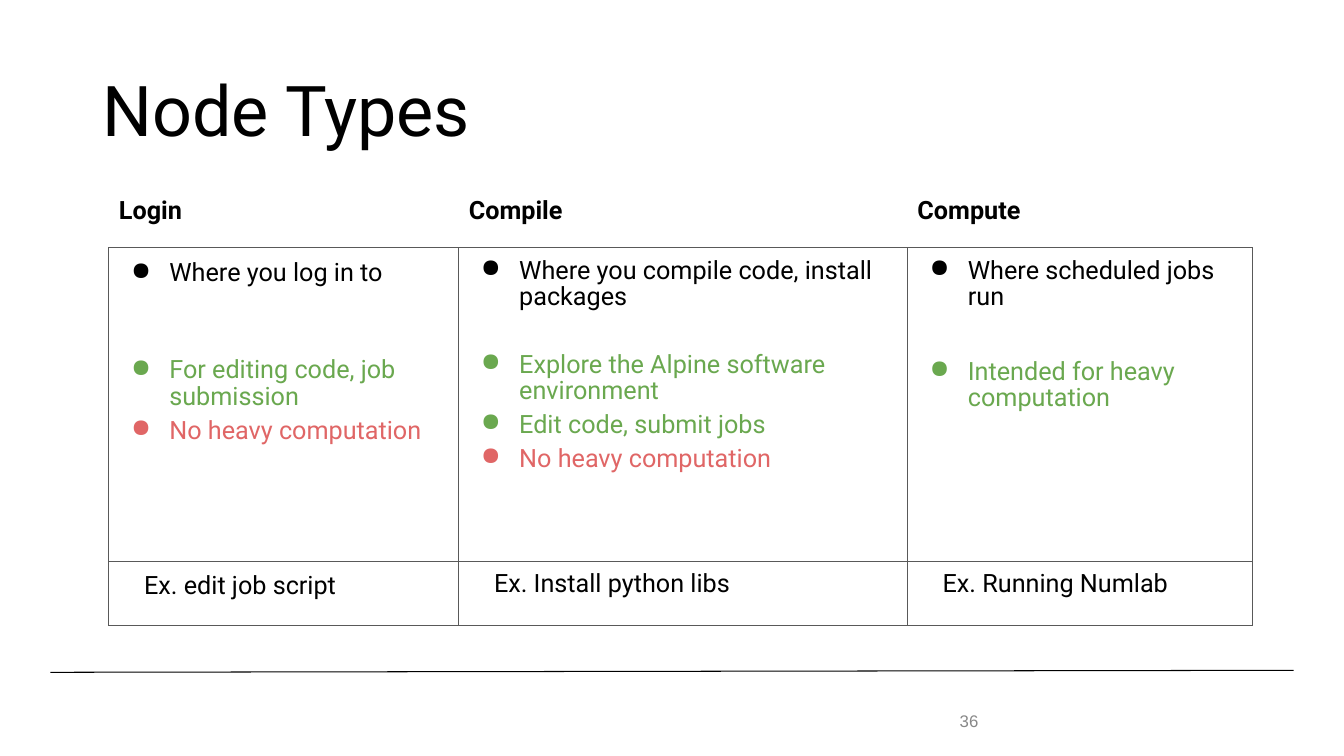
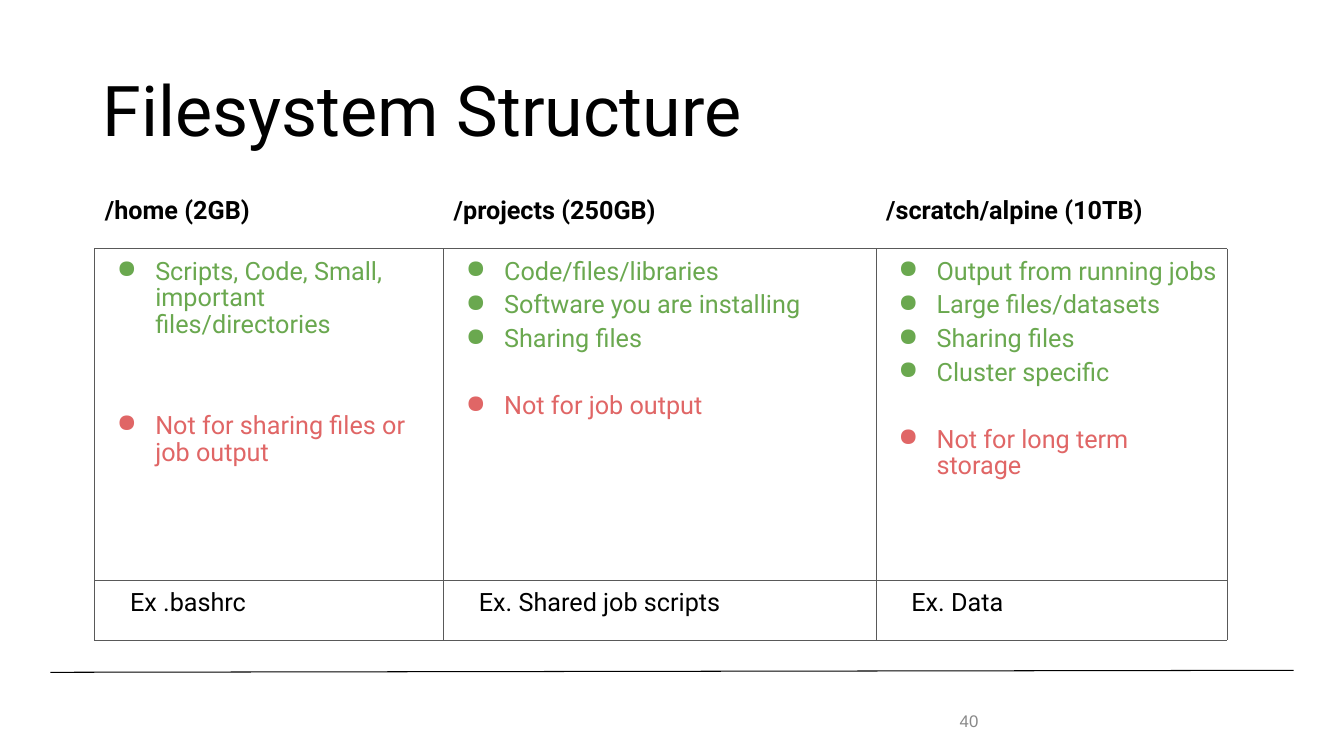
from dataclasses import dataclass

from lxml import etree
from pptx import Presentation
from pptx.dml.color import RGBColor
from pptx.enum.shapes import MSO_CONNECTOR
from pptx.enum.text import MSO_ANCHOR
from pptx.oxml.ns import qn
from pptx.util import Inches, Pt

BLACK, WHITE, GRID, GREY = "000000", "FFFFFF", "595959", "888888"
GREEN, RED = "6AA84F", "E06666"
TEXT_FONT, NUMBER_FONT = "Roboto", "Arial"
TIGHT = 0.9
TABLE_TOP = 1.85


@dataclass
class Bullet:
    text: str
    color: str = GREEN
    space_before: float = 5


@dataclass
class Column:
    width: float
    heading: str
    bullets: list
    example: str
    first_line_spacing: float = TIGHT


def rgb(color):
    return RGBColor.from_string(color)


def style(para, size, color=BLACK, name=TEXT_FONT, bold=False):
    font = para.font
    font.size, font.name, font.bold = Pt(size), name, bold
    font.color.rgb = rgb(color)


def add_solid_fill(parent, color):
    fill = etree.SubElement(parent, qn("a:solidFill"))
    etree.SubElement(fill, qn("a:srgbClr"), val=color)


def indent(para, hanging):
    properties = para._p.get_or_add_pPr()
    properties.set("marL", str(Inches(0.5)))
    properties.set("indent", str(-Inches(hanging)))
    return properties


def add_bullet_mark(para, color):
    properties = indent(para, 0.38)
    bullet_color = etree.SubElement(properties, qn("a:buClr"))
    etree.SubElement(bullet_color, qn("a:srgbClr"), val=color)
    etree.SubElement(properties, qn("a:buChar"), char="●")


def set_borders(cell, outer, bottom):
    properties = cell._tc.get_or_add_tcPr()
    for side, color in zip("LRTB", (outer, outer, outer, bottom)):
        line = etree.SubElement(properties, qn(f"a:ln{side}"), w=str(Pt(0.75)))
        add_solid_fill(line, color)


def prepare_cell(cell, is_heading):
    cell.margin_left = cell.margin_right = Inches(0.1)
    cell.margin_top = cell.margin_bottom = Inches(0.1)
    set_borders(cell, WHITE if is_heading else GRID, GRID)
    cell.fill.background()


def fill_bullets(cell, column):
    frame = cell.text_frame
    for index, bullet in enumerate(column.bullets):
        para = frame.add_paragraph() if index else frame.paragraphs[0]
        para.text = bullet.text
        add_bullet_mark(para, bullet.color)
        para.line_spacing = TIGHT if index else column.first_line_spacing
        if index:
            para.space_before = Pt(bullet.space_before)
        style(para, 18, bullet.color)


def fill_column(cells, column):
    heading, body, example = cells
    para = heading.text_frame.paragraphs[0]
    para.text = column.heading
    style(para, 18, bold=True)

    fill_bullets(body, column)

    para = example.text_frame.paragraphs[0]
    para.text = column.example
    indent(para, 0.25)
    para.line_spacing = column.first_line_spacing
    style(para, 18)


def add_comparison(page, left, top, row_heights, columns):
    """Table with an open heading row, a bullet row and an example row."""
    width = sum(column.width for column in columns)
    frame = page.shapes.add_table(
        len(row_heights), len(columns), Inches(left), Inches(top),
        Inches(width), Inches(sum(row_heights)))
    table = frame.table
    table.first_row = table.horz_banding = False
    for row, height in zip(table.rows, row_heights):
        row.height = Inches(height)
    for number, column in enumerate(columns):
        table.columns[number].width = Inches(column.width)
        cells = [table.cell(row, number) for row in range(len(row_heights))]
        for row, cell in enumerate(cells):
            prepare_cell(cell, is_heading=row == 0)
        fill_column(cells, column)


def add_label(page, text, left, top, width, height, **font):
    box = page.shapes.add_textbox(
        Inches(left), Inches(top), Inches(width), Inches(height))
    frame = box.text_frame
    frame.word_wrap = True
    frame.vertical_anchor = MSO_ANCHOR.MIDDLE
    para = frame.paragraphs[0]
    para.text = text
    style(para, **font)
    return para


def add_footer_line(page):
    line = page.shapes.add_connector(
        MSO_CONNECTOR.STRAIGHT, Inches(0.5), Inches(6.67),
        Inches(12.83), Inches(6.65))
    line.line.color.rgb = rgb(BLACK)
    line.line.width = Pt(0.75)
    etree.SubElement(line._element.spPr, qn("a:effectLst"))


def add_page(deck, title, number):
    page = deck.slides.add_slide(deck.slide_layouts[6])
    add_footer_line(page)
    add_label(page, title, 0.92, 0.4, 11.5, 1.45, size=50).line_spacing = TIGHT
    add_label(page, number, 9.42, 6.95, 0.75, 0.4,
              size=12, color=GREY, name=NUMBER_FONT)
    return page


def add_node_types(deck):
    page = add_page(deck, "Node Types", "36")
    add_comparison(page, 1.08, TABLE_TOP, (0.61, 3.11, 0.64), [
        Column(3.47, "Login", [
            Bullet("Where you log in to", BLACK),
            Bullet("For editing code, job submission", space_before=50),
            Bullet("No heavy computation", RED),
        ], "Ex. edit job script", first_line_spacing=1.0),
        Column(4.45, "Compile", [
            Bullet("Where you compile code, install packages", BLACK),
            Bullet("Explore the Alpine software environment", space_before=29),
            Bullet("Edit code, submit jobs"),
            Bullet("No heavy computation", RED),
        ], "Ex. Install python libs"),
        Column(3.42, "Compute", [
            Bullet("Where scheduled jobs run", BLACK),
            Bullet("Intended for heavy computation", space_before=34),
        ], "Ex. Running Numlab"),
    ])


def add_filesystem_structure(deck):
    page = add_page(deck, "Filesystem Structure", "40")
    add_comparison(page, 0.94, TABLE_TOP, (0.62, 3.29, 0.59), [
        Column(3.46, "/home (2GB)", [
            Bullet("Scripts, Code, Small, important files/directories"),
            Bullet("Not for sharing files or job output", RED, 53),
        ], "Ex .bashrc"),
        Column(4.29, "/projects (250GB)", [
            Bullet("Code/files/libraries"),
            Bullet("Software you are installing"),
            Bullet("Sharing files"),
            Bullet("Not for job output", RED, 29),
        ], "Ex. Shared job scripts"),
        Column(3.48, "/scratch/alpine (10TB)", [
            Bullet("Output from running jobs"),
            Bullet("Large files/datasets"),
            Bullet("Sharing files"),
            Bullet("Cluster specific"),
            Bullet("Not for long term storage", RED, 29),
        ], "Ex. Data"),
    ])


def main():
    deck = Presentation()
    deck.slide_width, deck.slide_height = Inches(13.33), Inches(7.5)
    add_node_types(deck)
    add_filesystem_structure(deck)
    deck.save("out.pptx")


if __name__ == "__main__":
    main()
